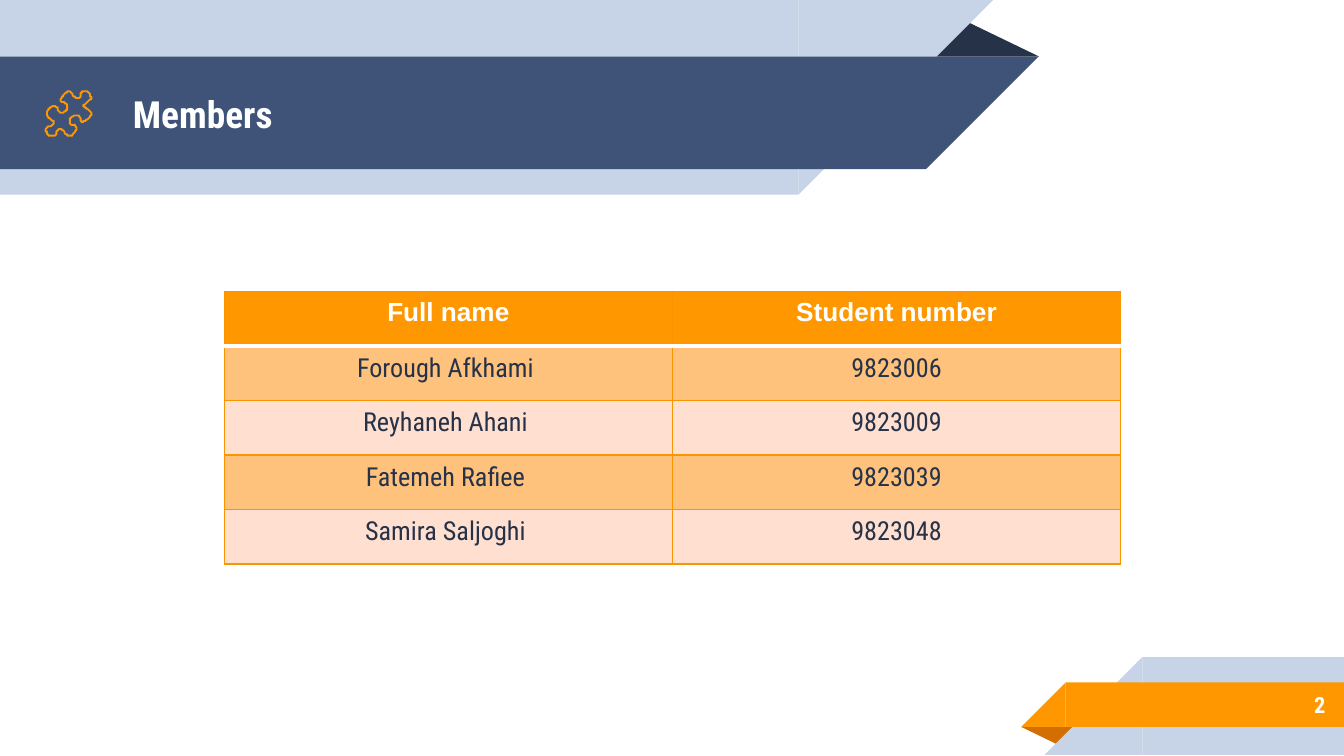
import dataclasses
import typing

import pptx
import pptx.dml.color
import pptx.enum.shapes
import pptx.enum.text
import pptx.oxml
import pptx.oxml.ns
import pptx.util

Cm = pptx.util.Cm
Pt = pptx.util.Pt
Kind = pptx.enum.shapes.MSO_SHAPE
Align = pptx.enum.text.PP_ALIGN
Anchor = pptx.enum.text.MSO_ANCHOR

FONT = "Roboto Condensed"
NAVY, INK, PALE = "3F5378", "263248", "C7D3E6"
ORANGE, RUST, EDGE = "FF9800", "D26F00", "F99500"
WHITE, AMBER, PEACH = "FFFFFF", "FFC27D", "FFDFD0"

ROWS = [
    ("Full name", "Student number"),
    ("Forough Afkhami ", "9823006"),
    ("Reyhaneh Ahani ", "9823009"),
    ("Fatemeh Rafiee ", "9823039"),
    ("Samira Saljoghi ", "9823048"),
]

PUZZLE = """
64,77 66,75 68,73 67,71 66,69 64,68 62,68 60,70 60,72 58,73 56,73 54,70
52,68 51,68 48,70 46,73 45,74 46,76 49,77 50,79 50,81 48,83 46,84 44,83
43,81 42,80 40,79 38,80 36,82 35,84 35,86 37,88 39,90 40,91 39,93 37,94
35,95 34,97 35,99 37,101 39,101 41,101 42,99 43,97 45,96 47,97 49,100
51,101 53,101 55,99 57,96 57,95 55,93 53,93 52,91 52,89 54,87 56,86
58,86 59,87 60,89 61,91 63,90 66,88 68,85 68,84 66,82 63,80 62,79 63,78
"""


@dataclasses.dataclass
class Band:
    left: float
    top: float
    width: float
    height: float
    tip: float
    fill: str
    right: bool


@dataclasses.dataclass
class Fold:
    left: float
    top: float
    width: float
    height: float
    turn: int
    fill: str


HEAD = [
    Band(0, 0, 15.09, 3.68, 3.68, PALE, True),
    Band(0, 1.07, 17.5, 2.13, 2.13, NAVY, True),
]
FOOT = [
    Band(21.59, 12.42, 3.81, 1.85, 1.85, PALE, False),
    Band(20.14, 12.9, 5.26, 0.84, 0.84, ORANGE, False),
]


def color(code: str) -> pptx.dml.color.RGBColor:
    return pptx.dml.color.RGBColor.from_string(code)


def draw_shape(slide, kind, box: typing.Sequence[float], fill: str, turn: int = 0):
    shape = slide.shapes.add_shape(kind, *map(Cm, box))
    shape.shadow.inherit = False
    shape.fill.solid()
    shape.fill.fore_color.rgb = color(fill)
    shape.line.fill.background()
    shape.rotation = turn
    return shape


def draw_band(slide, band: Band) -> None:
    draw_shape(slide, Kind.RECTANGLE,
               (band.left, band.top, band.width, band.height), band.fill)
    side = band.left + band.width if band.right else band.left - band.tip
    draw_shape(slide, Kind.RIGHT_TRIANGLE, (side, band.top, band.tip, band.tip),
               band.fill, 90 if band.right else 270)


def draw_fold(slide, fold: Fold) -> None:
    box = (fold.left, fold.top, fold.width, fold.height)
    shape = draw_shape(slide, Kind.ISOSCELES_TRIANGLE, box, fold.fill, fold.turn)
    shape.adjustments[0] = 0.32


def style(para, size: int, code: str, align, bold: bool, font: str = FONT) -> None:
    para.alignment = align
    para.font.name = font
    para.font.size = Pt(size)
    para.font.bold = bold
    para.font.color.rgb = color(code)


def set_text(shape, text: str, size: int, align) -> None:
    frame = shape.text_frame
    frame.text = text
    frame.word_wrap = True
    frame.auto_size = pptx.enum.text.MSO_AUTO_SIZE.NONE
    frame.vertical_anchor = Anchor.MIDDLE
    frame.margin_left = frame.margin_right = Cm(0.25)
    frame.margin_top = frame.margin_bottom = Cm(0.25)
    style(frame.paragraphs[0], size, WHITE, align, True)


def curve(spots: list, steps: int = 4) -> list:
    out = []
    for i in range(len(spots)):
        quad = [spots[(i + k) % len(spots)] for k in (-1, 0, 1, 2)]
        for step in range(steps):
            t = step / steps
            out.append(tuple(
                b + t * (c - a) / 2
                + t * t * (2 * a - 5 * b + 4 * c - d) / 2
                + t ** 3 * (3 * b - a - 3 * c + d) / 2
                for a, b, c, d in zip(*quad)))
    return out


def draw_puzzle(slide) -> None:
    spots = [tuple(map(int, pair.split(","))) for pair in PUZZLE.split()]
    first, *rest = curve(spots)
    pen = slide.shapes.build_freeform(*first, scale=Cm(2.54) / 100)
    pen.add_line_segments(rest, close=True)
    shape = pen.convert_to_shape()
    shape.shadow.inherit = False
    shape.fill.background()
    shape.line.color.rgb = color(ORANGE)
    shape.line.width = Pt(1)


def set_edge(cell, side: str, code: str, width: float) -> None:
    space = pptx.oxml.ns.nsdecls("a")
    cell._tc.get_or_add_tcPr().append(pptx.oxml.parse_xml(
        f'<a:ln{side} {space} w="{Pt(width)}"><a:solidFill>'
        f'<a:srgbClr val="{code}"/></a:solidFill></a:ln{side}>'))


def draw_table(slide) -> None:
    high = 1.03
    frame = slide.shapes.add_table(len(ROWS), 2, Cm(4.24), Cm(5.51),
                                   Cm(16.94), Cm(high * len(ROWS)))
    table = frame.table
    for i, row in enumerate(ROWS):
        table.rows[i].height = Cm(high)
        for j, text in enumerate(row):
            cell = table.cell(i, j)
            cell.text = text
            for side in "LRTB":
                white = (i, side) in ((0, "B"), (1, "T"))
                set_edge(cell, side, WHITE if white else EDGE, 2 if white else 0.75)
            cell.fill.solid()
            fill = ORANGE if i == 0 else AMBER if i % 2 else PEACH
            cell.fill.fore_color.rgb = color(fill)
            para = cell.text_frame.paragraphs[0]
            if i == 0:
                style(para, 14, WHITE, Align.CENTER, True, "Arial")
            else:
                style(para, 14, INK, Align.CENTER, False)


def main() -> None:
    deck = pptx.Presentation()
    deck.slide_width, deck.slide_height = Cm(25.4), Cm(14.29)
    slide = deck.slides.add_slide(deck.slide_layouts[5])
    draw_fold(slide, Fold(17.48, 0.36, 2.16, 0.71, 0, INK))
    for band in HEAD:
        draw_band(slide, band)
    draw_fold(slide, Fold(19.3, 13.74, 1.09, 0.36, 180, RUST))
    for band in FOOT:
        draw_band(slide, band)

    title = slide.shapes.title
    title.left, title.top = Cm(2.26), Cm(1.09)
    title.width, title.height = Cm(14.6), Cm(2.13)
    set_text(title, "Members", 20, Align.LEFT)
    slide.shapes._spTree.append(title._element)
    page = slide.shapes.add_textbox(Cm(21.16), Cm(12.88), Cm(4.14), Cm(0.89))
    set_text(page, "2", 12, Align.RIGHT)
    draw_puzzle(slide)
    draw_table(slide)
    deck.save("out.pptx")


if __name__ == "__main__":
    main()
